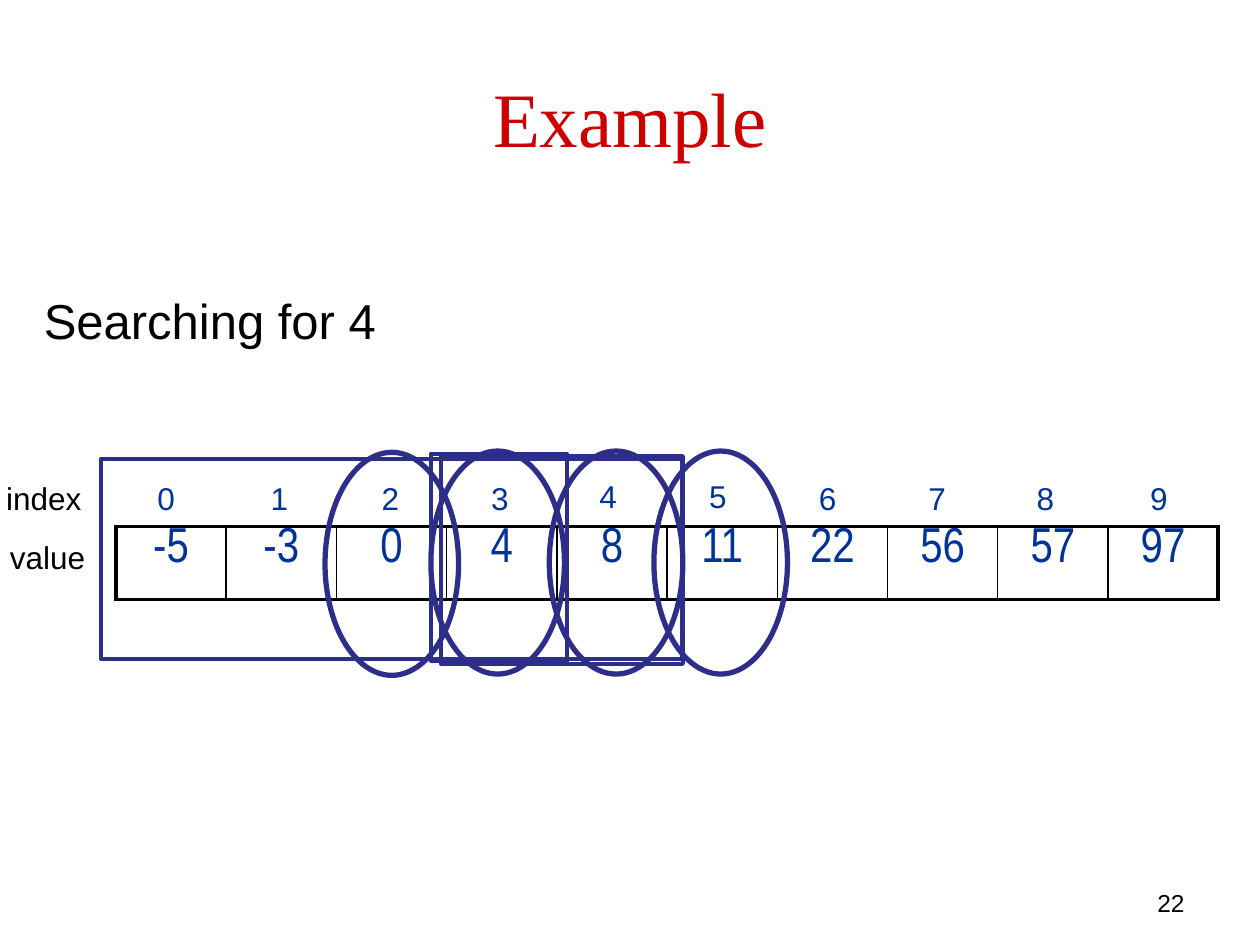
from dataclasses import dataclass

from lxml import etree
from pptx import Presentation
from pptx.dml.color import RGBColor
from pptx.enum.shapes import MSO_SHAPE
from pptx.enum.text import MSO_ANCHOR, PP_ALIGN
from pptx.oxml.ns import qn
from pptx.util import Inches, Pt

LEFT, CENTER, RIGHT = PP_ALIGN.LEFT, PP_ALIGN.CENTER, PP_ALIGN.RIGHT
MIDDLE, TOP = MSO_ANCHOR.MIDDLE, MSO_ANCHOR.TOP
OVAL, RECT = MSO_SHAPE.OVAL, MSO_SHAPE.RECTANGLE


@dataclass(frozen=True)
class Theme:
    red: str = "CC0000"
    blue: str = "003399"
    navy: str = "2D2D8A"
    black: str = "000000"
    serif: str = "Times New Roman"
    sans: str = "Arial"
    narrow: str = "Arial Narrow"
    title: int = 44
    body: int = 28
    label: int = 18
    page: int = 14
    thin: float = 1
    thick: float = 2.25
    ring: float = 3


THEME = Theme()

VALUES = [-5, -3, 0, 4, 8, 11, 22, 56, 57, 97]

# Left and top of each index label
INDEX = [(1.15, 3.75), (2.05, 3.75), (2.93, 3.75), (3.8, 3.75), (4.66, 3.74),
         (5.53, 3.74), (6.4, 3.75), (7.27, 3.75), (8.13, 3.75), (9.03, 3.75)]

RING = (1.06, 1.77)

# Search ranges and probed cells, from back to front
MARKS = [
    (OVAL, 5.19, 3.58, *RING),
    (OVAL, 2.58, 3.59, *RING),
    (RECT, 0.8, 3.64, 4.61, 1.59),
    (RECT, 3.5, 3.62, 1.92, 1.65),
    (OVAL, 4.36, 3.58, *RING),
    (OVAL, 3.42, 3.58, *RING),
    (RECT, 3.42, 3.6, 1.08, 1.65),
]


def write(frame, text, size, color, face=THEME.sans, align=LEFT):
    para = frame.paragraphs[0]
    para.alignment = align
    run = para.add_run()
    run.text = text
    run.font.size = Pt(size)
    run.font.name = face
    run.font.color.rgb = RGBColor.from_string(color)


def add_text(slide, text, box, size, color=THEME.black, align=LEFT):
    frame = slide.shapes.add_textbox(*map(Inches, box)).text_frame
    frame.word_wrap = True
    write(frame, text, size, color, align=align)


def add_title(slide, text):
    title = slide.shapes.title
    title.left, title.top = Inches(0.5), Inches(0.3)
    title.width, title.height = Inches(9), Inches(1.25)
    title.text_frame.vertical_anchor = MIDDLE
    write(title.text_frame, text, THEME.title, THEME.red, THEME.serif, CENTER)


def set_edge(cell, side, width):
    props = cell._tc.get_or_add_tcPr()
    line = etree.SubElement(props, qn(f"a:ln{side}"), w=str(Pt(width)))
    fill = etree.SubElement(line, qn("a:solidFill"))
    etree.SubElement(fill, qn("a:srgbClr"), val=THEME.black)


def add_array(slide, values):
    box = map(Inches, (0.92, 4.18, 8.75, 0.58))
    table = slide.shapes.add_table(1, len(values), *box).table
    table.first_row = table.horz_banding = False
    last = len(values) - 1
    for i, value in enumerate(values):
        cell = table.cell(0, i)
        cell.margin_top = cell.margin_bottom = 0
        cell.vertical_anchor = TOP
        set_edge(cell, "L", THEME.thick if i == 0 else THEME.thin)
        set_edge(cell, "R", THEME.thick if i == last else THEME.thin)
        set_edge(cell, "T", THEME.thick)
        set_edge(cell, "B", THEME.thick)
        cell.fill.background()
        write(cell.text_frame, str(value), THEME.body, THEME.blue,
              THEME.narrow, CENTER)


def add_mark(slide, kind, *box):
    mark = slide.shapes.add_shape(kind, *map(Inches, box))
    mark.shadow.inherit = False
    mark.fill.background()
    mark.line.color.rgb = RGBColor.from_string(THEME.navy)
    mark.line.width = Pt(THEME.ring if kind == OVAL else THEME.thick)


def main():
    deck = Presentation()
    deck.slide_width, deck.slide_height = Inches(10), Inches(7.5)
    slide = deck.slides.add_slide(deck.slide_layouts[5])

    # Page number and title
    add_text(slide, "22", (7.17, 7, 2.33, 0.25), THEME.page, align=RIGHT)
    add_title(slide, "Example")

    # Array with its row labels and indexes
    add_array(slide, VALUES)
    add_text(slide, "value", (-0.02, 4.22, 0.92, 0.4), THEME.label)
    add_text(slide, "index", (-0.05, 3.75, 0.92, 0.4), THEME.label)
    for i, (left, top) in enumerate(INDEX):
        add_text(slide, str(i), (left, top, 0.34, 0.4), THEME.label, THEME.blue)

    # Search steps
    add_text(slide, "Searching for 4", (0.25, 2.26, 4.36, 0.57), THEME.body)
    for mark in MARKS:
        add_mark(slide, *mark)

    deck.save("out.pptx")


if __name__ == "__main__":
    main()
